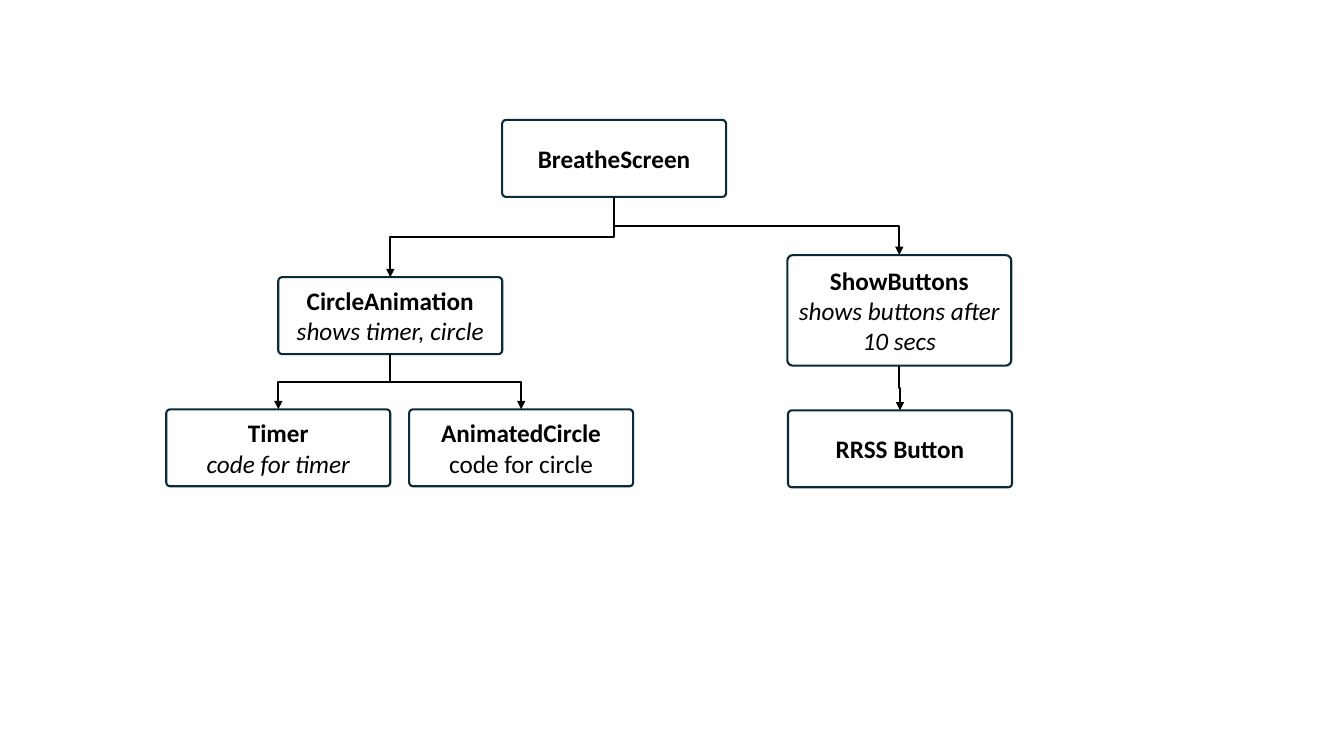
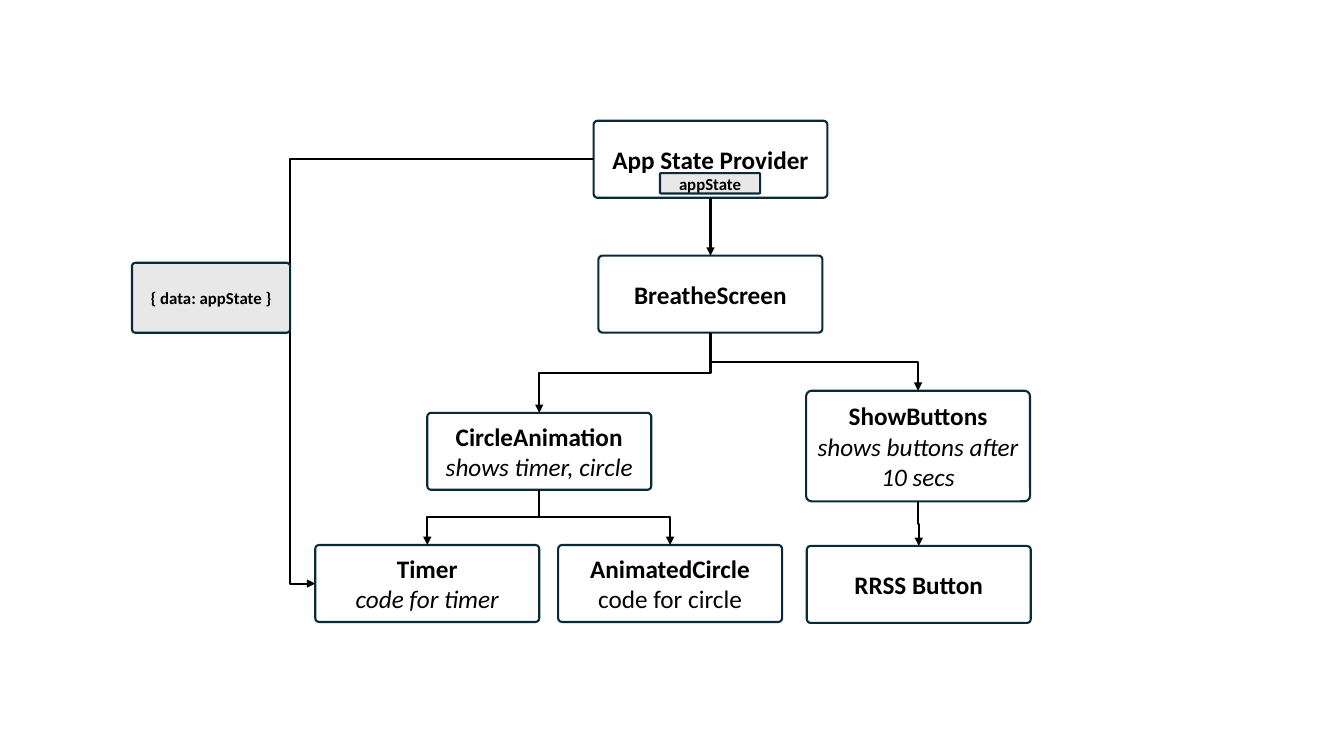
from pptx import Presentation
from pptx import util as u
from pptx.dml.color import RGBColor
from pptx.enum import shapes, text
from pptx.oxml.ns import qn
from lxml import etree

BLACK = RGBColor(0x00, 0x00, 0x00)
WHITE = RGBColor(0xFF, 0xFF, 0xFF)
GREY = RGBColor(0xE8, 0xE8, 0xE8)
NAVY = RGBColor(0x09, 0x2A, 0x39)
FONT = "Calibri"
LINE_WIDTH = u.Pt(1.5)
BOX_WIDTH, BOX_HEIGHT, TALL_HEIGHT = 160, 55, 79
TOP, LEFT, BOTTOM = 0, 1, 2


def add_line(box, words, first, size, bold=False, italic=False):
    """Write one centred line of text in a box."""
    frame = box.text_frame
    paragraph = frame.paragraphs[0] if first else frame.add_paragraph()
    paragraph.alignment = text.PP_ALIGN.CENTER
    run = paragraph.add_run()
    run.text = words
    run.font.name = FONT
    run.font.size = u.Pt(size)
    run.font.bold = bold
    run.font.italic = italic
    run.font.color.rgb = BLACK


def add_box(slide, name, left, top, width=BOX_WIDTH, height=BOX_HEIGHT,
            note=None, italic=True, fill=WHITE, size=18):
    """Draw a rounded box with a bold name and an optional note."""
    box = slide.shapes.add_shape(shapes.MSO_SHAPE.ROUNDED_RECTANGLE,
                                 u.Pt(left), u.Pt(top), u.Pt(width), u.Pt(height))
    box.adjustments[0] = 0.05
    box.shadow.inherit = False
    box.fill.solid()
    box.fill.fore_color.rgb = fill
    box.line.color.rgb = NAVY
    box.line.width = LINE_WIDTH
    box.text_frame.word_wrap = True
    box.text_frame.vertical_anchor = text.MSO_ANCHOR.MIDDLE
    add_line(box, name, True, size, bold=True)
    if note:
        add_line(box, note, False, size, italic=italic)
    return box


def add_arrow(slide, kind, source, source_side, target, target_side):
    """Join two boxes with a black arrow."""
    arrow = slide.shapes.add_connector(kind, 0, 0, 0, 0)
    arrow.begin_connect(source, source_side)
    arrow.end_connect(target, target_side)
    arrow.line.color.rgb = BLACK
    arrow.line.width = LINE_WIDTH
    etree.SubElement(arrow.line._get_or_add_ln(), qn("a:tailEnd"), type="triangle")
    etree.SubElement(arrow._element.spPr, qn("a:effectLst"))
    return arrow


def orient(arrow, rotation, **flips):
    """Set the rotation and flips of an elbow arrow."""
    frame = arrow._element.spPr.find(qn("a:xfrm"))
    for flip in ("flipH", "flipV"):
        frame.attrib.pop(flip, None)
    for flip, value in flips.items():
        frame.set(flip, value)
    arrow.rotation = rotation


def add_branch(slide, parent, child):
    """Lead an elbow arrow from a parent's bottom to a child's top."""
    arrow = add_arrow(slide, shapes.MSO_CONNECTOR.ELBOW, parent, BOTTOM, child, TOP)
    across = arrow.end_x - arrow.begin_x
    down = arrow.end_y - arrow.begin_y
    middle_x = (arrow.begin_x + arrow.end_x) // 2
    middle_y = (arrow.begin_y + arrow.end_y) // 2
    arrow.width, arrow.height = down, abs(across)
    arrow.left = middle_x - down // 2
    arrow.top = middle_y - abs(across) // 2
    if across < 0:
        orient(arrow, 90)
    else:
        orient(arrow, 270, flipH="1")


def add_side_arrow(slide, source, target, bend_x):
    """Lead an elbow arrow between two left sides, around a given x."""
    arrow = add_arrow(slide, shapes.MSO_CONNECTOR.ELBOW, source, LEFT, target, LEFT)
    bend = (arrow.begin_x - bend_x) / (arrow.begin_x - arrow.end_x)
    geometry = arrow._element.spPr.find(qn("a:prstGeom"))
    guides = geometry.find(qn("a:avLst"))
    if guides is None:
        guides = etree.SubElement(geometry, qn("a:avLst"))
    etree.SubElement(guides, qn("a:gd"), name="adj1", fmla=f"val {round(bend * 100000)}")
    orient(arrow, 180, flipV="1")


def add_screen_tree(slide, top, root_left, circle_left, buttons_left):
    """Draw the component tree and return its root and timer boxes."""
    leaf_top = top + 206.7
    rrss = add_box(slide, "RRSS Button", buttons_left + 0.5, leaf_top + 0.7)
    buttons = add_box(slide, "ShowButtons", buttons_left, top + 96.5,
                      height=TALL_HEIGHT, note="shows buttons after 10 secs")
    timer = add_box(slide, "Timer", circle_left - BOX_WIDTH / 2, leaf_top,
                    note="code for timer")
    circle = add_box(slide, "CircleAnimation", circle_left, top + 112.3,
                     note="shows timer, circle")
    animated = add_box(slide, "AnimatedCircle", circle_left + 93.5, leaf_top,
                       note="code for circle", italic=False)
    root = add_box(slide, "BreatheScreen", root_left, top)
    for parent, child in ((buttons, rrss), (circle, timer), (circle, animated),
                          (root, circle), (root, buttons)):
        add_branch(slide, parent, child)
    return root, timer


def add_state_provider(slide, root, timer):
    """Draw the state provider above the tree and its data path to the timer."""
    provider = add_box(slide, "App State Provider", 424, 86.3, width=167)
    add_box(slide, "appState", 471.5, 123.7, width=71.5, height=14.5, fill=GREY, size=12)
    add_arrow(slide, shapes.MSO_CONNECTOR.STRAIGHT, provider, BOTTOM, root, TOP)
    data_left, data_width = 94.3, 113
    add_side_arrow(slide, provider, timer, u.Pt(data_left + data_width))
    add_box(slide, "{ data: appState }", data_left, 187.7, width=data_width,
            height=50, fill=GREY, size=12)


def main():
    """Build both slides and save the presentation."""
    presentation = Presentation()
    presentation.slide_width = u.Pt(960)
    presentation.slide_height = u.Pt(540)
    blank = presentation.slide_layouts[6]
    slide = presentation.slides.add_slide(blank)
    add_screen_tree(slide, 85.7, 358.7, 198.8, 562.4)
    slide = presentation.slides.add_slide(blank)
    root, timer = add_screen_tree(slide, 182.6, 427.5, 305.2, 575.8)
    add_state_provider(slide, root, timer)
    presentation.save("out.pptx")


if __name__ == "__main__":
    main()
